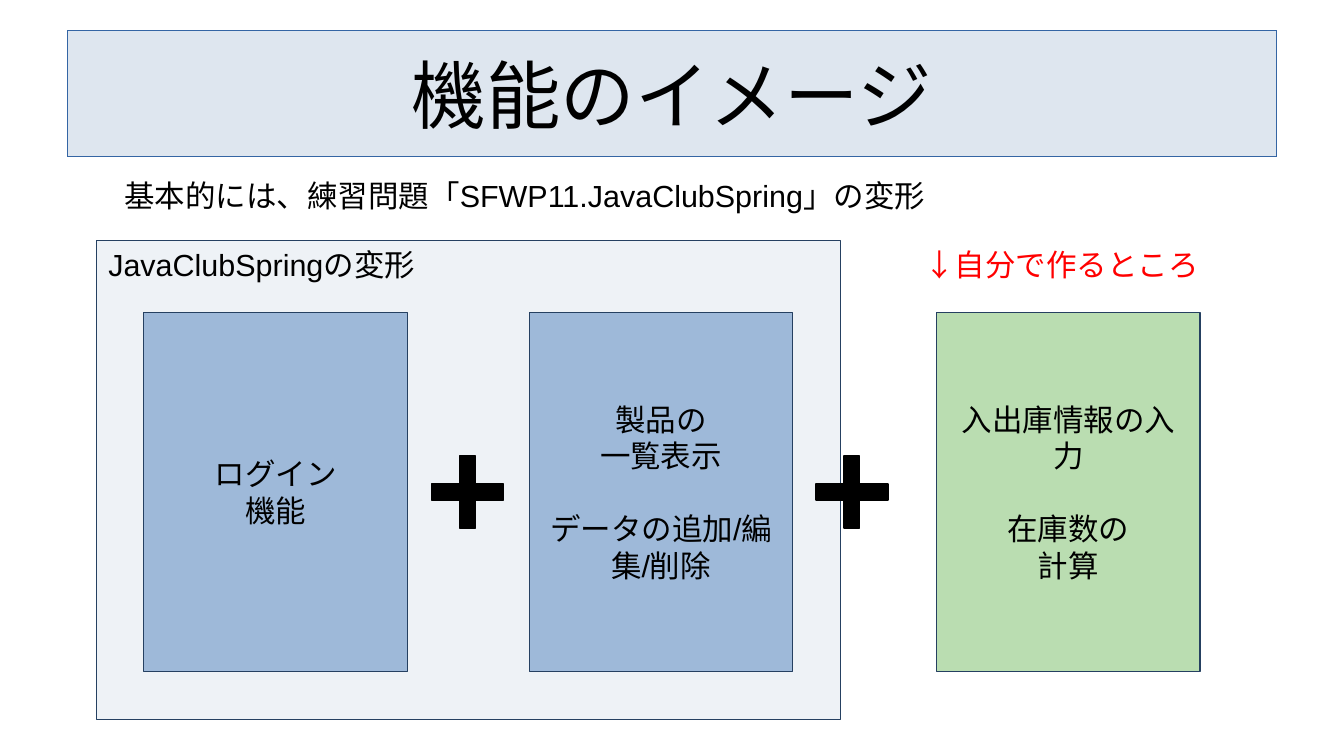
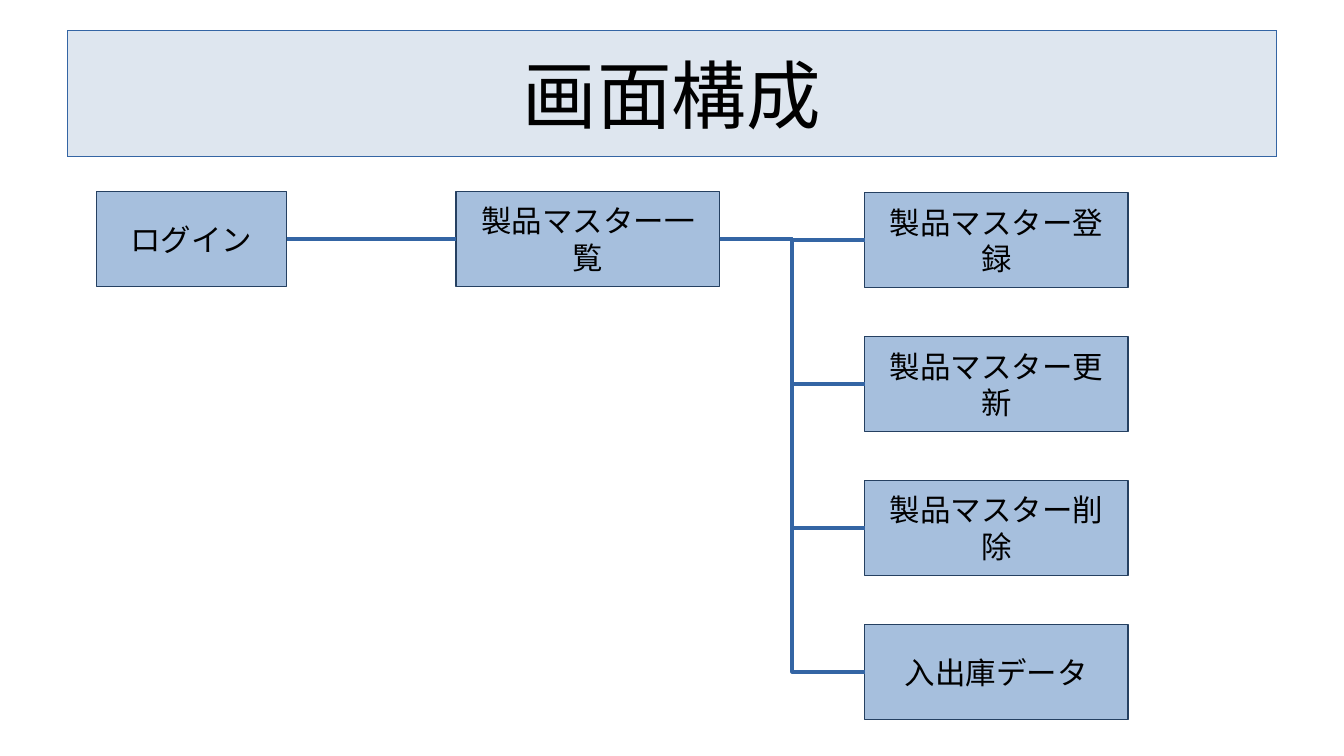
"""Build two slides: an overview of the functions and the screen structure."""
import lxml.etree
import pptx
import pptx.dml.color
import pptx.enum.shapes
import pptx.enum.text
import pptx.oxml.ns
import pptx.util

Inches = pptx.util.Inches
Pt = pptx.util.Pt
RGBColor = pptx.dml.color.RGBColor
RECTANGLE = pptx.enum.shapes.MSO_SHAPE.RECTANGLE
CROSS = pptx.enum.shapes.MSO_SHAPE.CROSS
CONNECTOR = pptx.enum.shapes.MSO_CONNECTOR
LEFT = pptx.enum.text.PP_ALIGN.LEFT
CENTER = pptx.enum.text.PP_ALIGN.CENTER
TOP = pptx.enum.text.MSO_ANCHOR.TOP
MIDDLE = pptx.enum.text.MSO_ANCHOR.MIDDLE
qn = pptx.oxml.ns.qn

PALE, BLUE, GREEN = "DEE6EF", "4F81BD", "77BC65"
ACCENT, OUTLINE = "3465A4", "254061"
BLACK, RED = "000000", "FF0000"


def paint(shape, fill, line, opacity=100):
    """Give a shape its fill and hairline outline, without a shadow."""
    shape.shadow.inherit = False
    shape.fill.solid()
    shape.fill.fore_color.rgb = RGBColor.from_string(fill)
    shape.line.color.rgb = RGBColor.from_string(line)
    shape.line.width = Pt(0)
    if opacity < 100:
        color = shape.element.spPr.find(qn("a:solidFill"))[0]
        lxml.etree.SubElement(color, qn("a:alpha"), val=str(opacity * 1000))


def write(shape, lines, align=CENTER, anchor=MIDDLE, size=18, color=BLACK, gap_before=None):
    """Fill a shape with one paragraph per line, with a gap before one of them."""
    frame = shape.text_frame
    frame.text = "\n".join(lines)
    frame.word_wrap = True
    frame.auto_size = pptx.enum.text.MSO_AUTO_SIZE.NONE
    frame.vertical_anchor = anchor
    if shape.is_placeholder:
        frame.margin_left = frame.margin_right = frame.margin_top = frame.margin_bottom = 0
    for index, paragraph in enumerate(frame.paragraphs):
        paragraph.alignment = align
        paragraph.space_before = Pt(21.5 if index == gap_before else 0)
        paragraph.font.name = "Arial"
        paragraph.font.size = Pt(size)
        paragraph.font.color.rgb = RGBColor.from_string(color)


presentation = pptx.Presentation()
presentation.slide_width = Inches(11.02)
presentation.slide_height = Inches(6.2)

slides = []
for layout_index, heading in ((1, "機能のイメージ"), (5, "画面構成")):
    slide = presentation.slides.add_slide(presentation.slide_layouts[layout_index])
    title = slide.shapes.title
    title.left, title.top = Inches(0.55), Inches(0.25)
    title.width, title.height = Inches(9.92), Inches(1.03)
    paint(title, PALE, ACCENT)
    write(title, [heading], size=44)
    slides.append(slide)
functions_slide, screens_slide = slides

body = functions_slide.placeholders[1]
body.left, body.top = Inches(0.55), Inches(1.45)
body.width, body.height = Inches(9.92), Inches(0.51)
write(body, ["基本的には、練習問題「SFWP11.JavaClubSpring」の変形"], LEFT, TOP)
properties = body.element.find(".//" + qn("a:pPr"))
properties.set("marL", str(Inches(0.47)))
properties.set("indent", "0")
properties.find(qn("a:defRPr")).addprevious(lxml.etree.Element(qn("a:buNone")))

panel = functions_slide.shapes.add_shape(
    RECTANGLE, Inches(0.79), Inches(1.97), Inches(6.1), Inches(3.93))
paint(panel, PALE, OUTLINE, 50)
write(panel, ["JavaClubSpringの変形"], LEFT, TOP)

function_boxes = (
    (1.18, BLUE, ["ログイン", "機能"], None),
    (4.34, BLUE, ["製品の", "一覧表示", "データの追加/編集/削除"], 2),
    (7.68, GREEN, ["入出庫情報の入力", "在庫数の", "計算"], 1),
)
for left, fill, lines, gap_before in function_boxes:
    box = functions_slide.shapes.add_shape(
        RECTANGLE, Inches(left), Inches(2.56), Inches(2.16), Inches(2.95))
    paint(box, fill, OUTLINE, 50)
    write(box, lines, gap_before=gap_before)

for left in (3.54, 6.69):
    plus = functions_slide.shapes.add_shape(
        CROSS, Inches(left), Inches(3.74), Inches(0.59), Inches(0.59))
    plus.adjustments[0] = 0.39
    paint(plus, BLACK, BLACK)

note = functions_slide.shapes.add_textbox(
    Inches(7.48), Inches(1.97), Inches(3.34), Inches(0.45))
write(note, ["↓自分で作るところ"], LEFT, TOP, color=RED)

screen_boxes = [
    (0.79, 1.57, 1.56, "ログイン"),
    (3.74, 1.57, 2.16, "製品マスター一覧"),
]
for index, name in enumerate(
        ("製品マスター登録", "製品マスター更新", "製品マスター削除", "入出庫データ")):
    screen_boxes.append((7.09, 1.58 + 1.18 * index, 2.16, name))

screens = []
for left, top, width, name in screen_boxes:
    screen = screens_slide.shapes.add_shape(
        RECTANGLE, Inches(left), Inches(top), Inches(width), Inches(0.78))
    paint(screen, BLUE, OUTLINE, 50)
    write(screen, [name])
    screens.append(screen)

login, product_list, *detail_screens = screens
links = [(CONNECTOR.STRAIGHT, login, product_list)]
links += [(CONNECTOR.ELBOW, product_list, screen) for screen in detail_screens]
for kind, source, target in links:
    connector = screens_slide.shapes.add_connector(kind, 0, 0, 0, 0)
    connector.begin_connect(source, 3)
    connector.end_connect(target, 1)
    connector.line.color.rgb = RGBColor.from_string(ACCENT)
    connector.line.width = Pt(0)
    lxml.etree.SubElement(connector.element.spPr, qn("a:effectLst"))

presentation.save("out.pptx")
